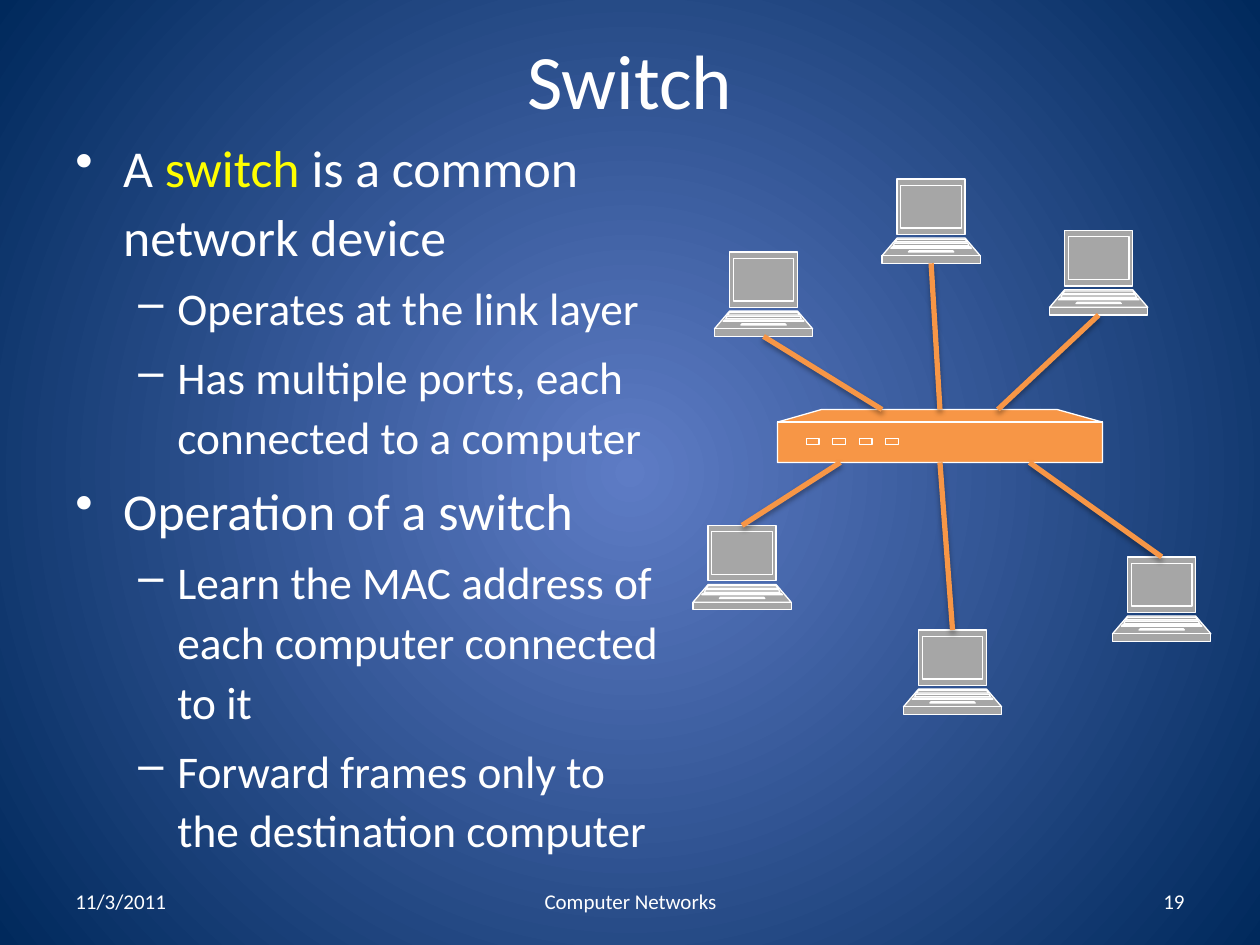
from copy import deepcopy

from pptx import Presentation
from pptx.dml.color import RGBColor
from pptx.enum.shapes import MSO_CONNECTOR as Connector
from pptx.enum.text import MSO_ANCHOR as Anchor, PP_ALIGN as Align
from pptx.oxml import parse_xml
from pptx.oxml.ns import nsdecls, qn
from pptx.util import Inches, Pt

WHITE = RGBColor(0xFF, 0xFF, 0xFF)
YELLOW = RGBColor(0xFF, 0xFF, 0x00)
ORANGE = RGBColor(0xF7, 0x96, 0x46)
GRAY = RGBColor(0xA6, 0xA6, 0xA6)
CENTER_BLUE = RGBColor(0x5E, 0x7C, 0xC5)
EDGE_BLUE = RGBColor(0x00, 0x29, 0x5C)

BULLETS = [
    (0, ["A ", "switch", " is a common network device"]),
    (1, ["Operates at the link layer"]),
    (1, ["Has multiple ports, each connected to a computer"]),
    (0, ["Operation of a switch"]),
    (1, ["Learn the MAC address of each computer connected to it"]),
    (1, ["Forward frames only to the destination computer"]),
]
LEVELS = [("•", 0.38, 0.38, 29.6), ("–", 0.81, 0.31, 25.9)]

LAPTOP_WIDTH, LAPTOP_HEIGHT = 0.78, 0.67
LAPTOP_PARTS = [
    (0.27, 0.27, 0, 0.44),
    (0.27, 0.39, 0.47, 0.61),
    (0.39, 0.39, 0.61, 0.67),
    (0.24, 0.24, 0.05, 0.39),
    (0.27, 0.29, 0.48, 0.50),
    (0.17, 0.18, 0.57, 0.58),
    (0.29, 0.30, 0.51, 0.53),
    (0.31, 0.32, 0.54, 0.55),
]
SWITCH_LEFT, SWITCH_RIGHT = 6.17, 8.75
SWITCH_TOP, SWITCH_EDGE, SWITCH_BOTTOM = 3.25, 3.35, 3.67
UPPER_LAPTOPS = [(5.67, 2, 7), (7, 1.42, 7.46), (8.33, 1.83, 7.92)]
LOWER_LAPTOPS = [(5.5, 4.17, 6.67), (7.17, 5, 7.46), (8.83, 4.42, 8.17)]


def set_background(slide):
    """Fill the background with a gradient radiating from the centre."""
    fill = slide.background.fill
    fill.gradient()
    for stop, color in zip(fill.gradient_stops, (CENTER_BLUE, EDGE_BLUE)):
        stop.color.rgb = color
    linear = slide.element.find(".//" + qn("a:lin"))
    linear.getparent().replace(linear, parse_xml(
        f'<a:path {nsdecls("a")} path="circle">'
        '<a:fillToRect l="50000" t="50000" r="50000" b="50000"/></a:path>'))


def format_run(run, size, color=WHITE):
    """Apply the slide font to a run."""
    run.font.name = "Calibri"
    run.font.size = Pt(size)
    run.font.color.rgb = color


def add_frame(slide, left, top, width, height, anchor):
    """Add a wrapping text box and return its text frame."""
    frame = slide.shapes.add_textbox(
        Inches(left), Inches(top), Inches(width), Inches(height)).text_frame
    frame.word_wrap = True
    frame.vertical_anchor = anchor
    return frame


def add_label(slide, text, box, size, align):
    """Add a single line of text centred vertically in its box."""
    frame = add_frame(slide, *box, Anchor.MIDDLE)
    frame.text = text
    frame.paragraphs[0].alignment = align
    format_run(frame.paragraphs[0].runs[0], size)


def add_bullets(slide):
    """Add the two-level bullet list."""
    frame = add_frame(slide, 0.5, 0.98, 4.83, 6.02, Anchor.TOP)
    for index, (level, pieces) in enumerate(BULLETS):
        bullet, margin, hanging, size = LEVELS[level]
        paragraph = frame.add_paragraph() if index else frame.paragraphs[0]
        paragraph.level = level
        paragraph.line_spacing = 1.1
        paragraph.space_before = Pt(5)
        properties = paragraph._p.get_or_add_pPr()
        properties.set("marL", str(Inches(margin)))
        properties.set("indent", str(-Inches(hanging)))
        properties.append(parse_xml(f'<a:buChar {nsdecls("a")} char="{bullet}"/>'))
        for piece in pieces:
            run = paragraph.add_run()
            run.text = piece
            format_run(run, size, YELLOW if piece == "switch" else WHITE)


def separate_contours(shape):
    """Give each contour its own path so that overlaps stay filled."""
    combined = shape._element.find(".//" + qn("a:path"))
    template = deepcopy(combined)
    for segment in list(template):
        template.remove(segment)
    for segment in list(combined):
        if segment.tag == qn("a:moveTo"):
            contour = deepcopy(template)
            combined.getparent().append(contour)
        contour.append(segment)
    combined.getparent().remove(combined)


def add_outline(slide, contours, color):
    """Draw one freeform from contours of points in inches."""
    scaled = [[(Inches(x), Inches(y)) for x, y in points] for points in contours]
    builder = slide.shapes.build_freeform(*scaled[0][0])
    for index, (start, *others) in enumerate(scaled):
        if index:
            builder.move_to(*start)
        builder.add_line_segments(others, close=len(others) > 1)
    shape = builder.convert_to_shape()
    separate_contours(shape)
    shape.shadow.inherit = False
    shape.fill.solid()
    shape.fill.fore_color.rgb = color
    shape.line.color.rgb = WHITE
    shape.line.width = Pt(0.75)


def add_laptop(slide, left, top):
    """Draw a laptop from parts symmetric about its middle."""
    middle = left + LAPTOP_WIDTH / 2
    contours = [
        [(middle - upper, top + start), (middle + upper, top + start),
         (middle + lower, top + end), (middle - lower, top + end)]
        for upper, lower, start, end in LAPTOP_PARTS]
    add_outline(slide, contours, GRAY)


def add_switch(slide):
    """Draw the switch box with its front edge and four ports."""
    body = [(SWITCH_LEFT, SWITCH_EDGE), (6.52, SWITCH_TOP), (8.39, SWITCH_TOP),
            (SWITCH_RIGHT, SWITCH_EDGE), (SWITCH_RIGHT, SWITCH_BOTTOM),
            (SWITCH_LEFT, SWITCH_BOTTOM)]
    front_edge = [(SWITCH_LEFT, SWITCH_EDGE), (SWITCH_RIGHT, SWITCH_EDGE)]
    ports = [[(x, 3.48), (x, 3.53), (x + 0.1, 3.53), (x + 0.1, 3.48)]
             for x in (6.4 + 0.21 * port for port in range(4))]
    add_outline(slide, [body, front_edge, *ports], ORANGE)


def add_cable(slide, start, end):
    """Connect a laptop to the switch with a softly shadowed line."""
    cable = slide.shapes.add_connector(
        Connector.STRAIGHT, *(Inches(value) for value in (*start, *end)))
    cable.line.color.rgb = ORANGE
    cable.line.width = Pt(3)
    cable._element.spPr.append(parse_xml(
        f'<a:effectLst {nsdecls("a")}><a:outerShdw blurRad="{Pt(3.1)}" '
        f'dist="{Pt(1.8)}" dir="5400000" rotWithShape="0"><a:srgbClr val="000000">'
        '<a:alpha val="35000"/></a:srgbClr></a:outerShdw></a:effectLst>'))


def main():
    """Build the slide and save it."""
    deck = Presentation()
    deck.slide_width, deck.slide_height = Inches(10), Inches(7.5)
    slide = deck.slides.add_slide(deck.slide_layouts[6])
    set_background(slide)
    add_label(slide, "Switch", (0.5, 0, 9, 1.25), 44, Align.CENTER)
    add_bullets(slide)
    add_label(slide, "11/3/2011", (0.5, 6.95, 2.33, 0.4), 12, Align.LEFT)
    add_label(slide, "Computer Networks", (3.42, 6.95, 3.17, 0.4), 12, Align.CENTER)
    add_label(slide, "19", (7.17, 6.95, 2.33, 0.4), 12, Align.RIGHT)
    add_switch(slide)
    for left, top, _ in UPPER_LAPTOPS + LOWER_LAPTOPS:
        add_laptop(slide, left, top)
    for left, top, port in UPPER_LAPTOPS:
        add_cable(slide, (left + LAPTOP_WIDTH / 2, top + LAPTOP_HEIGHT), (port, SWITCH_TOP))
    for left, top, port in LOWER_LAPTOPS:
        add_cable(slide, (left + LAPTOP_WIDTH / 2, top), (port, SWITCH_BOTTOM))
    deck.save("out.pptx")


if __name__ == "__main__":
    main()
